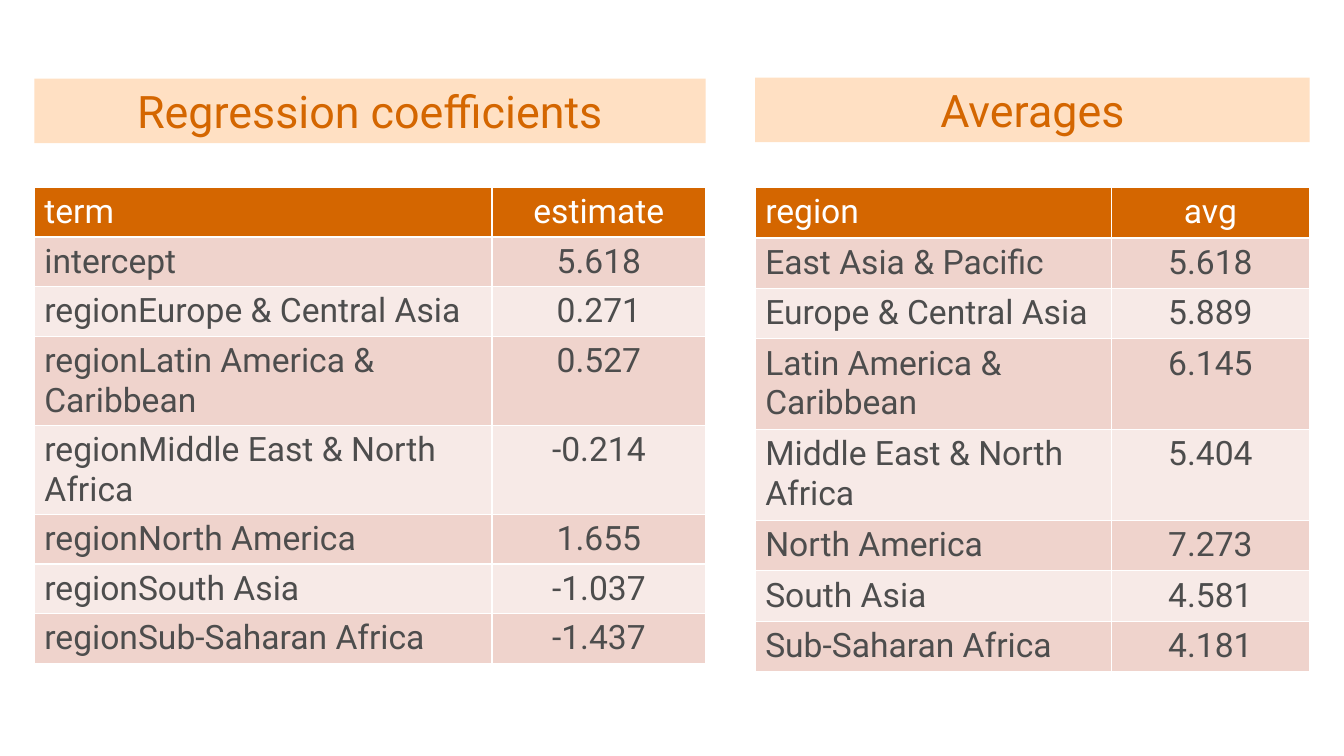
from pptx import Presentation
from pptx.dml.color import RGBColor
from pptx.enum.text import MSO_ANCHOR, PP_ALIGN
from pptx.util import Inches, Pt

LEFT, CENTER = PP_ALIGN.LEFT, PP_ALIGN.CENTER
MIDDLE = MSO_ANCHOR.MIDDLE

ORANGE, PEACH = "D46600", "FFE0C3"
WHITE, GREY = "FFFFFF", "4D4D4D"
BANDS = ["F7EAE7", "EFD3CC"]  # even rows, odd rows
ONE_LINE, TWO_LINES = 0.49, 0.88
ROW_HEIGHTS = [ONE_LINE] * 3 + [TWO_LINES] * 2 + [ONE_LINE] * 3


def rgb(hex_color):
    return RGBColor.from_string(hex_color)


def write(frame, text, size, color, align):
    paragraph = frame.paragraphs[0]
    paragraph.text = text
    paragraph.alignment = align
    font = paragraph.font
    font.name, font.size, font.bold = "Roboto", Pt(size), False
    font.color.rgb = rgb(color)


# Heading, left, heading top, column widths, rows
panels = [
    ("Regression coefficients", 0.34, 0.78, [4.54, 2.12], [
        ("term", "estimate"),
        ("intercept", "5.618"),
        ("regionEurope & Central Asia", "0.271"),
        ("regionLatin America & Caribbean", "0.527"),
        ("regionMiddle East & North Africa", "-0.214"),
        ("regionNorth America", "1.655"),
        ("regionSouth Asia", "-1.037"),
        ("regionSub-Saharan Africa", "-1.437"),
    ]),
    ("Averages", 7.49, 0.77, [3.53, 1.97], [
        ("region", "avg"),
        ("East Asia & Pacific", "5.618"),
        ("Europe & Central Asia", "5.889"),
        ("Latin America & Caribbean", "6.145"),
        ("Middle East & North Africa", "5.404"),
        ("North America", "7.273"),
        ("South Asia", "4.581"),
        ("Sub-Saharan Africa", "4.181"),
    ]),
]

prs = Presentation()
prs.slide_width, prs.slide_height = Inches(13.33), Inches(7.5)
slide = prs.slides.add_slide(prs.slide_layouts[6])

for title, left, top, widths, rows in panels:
    # Table; its default style draws the white cell borders
    table = slide.shapes.add_table(
        len(rows), len(widths), Inches(left), Inches(1.86),
        Inches(sum(widths)), Inches(sum(ROW_HEIGHTS))).table
    for column, width in zip(table.columns, widths):
        column.width = Inches(width)
    for r, (row, height) in enumerate(zip(rows, ROW_HEIGHTS)):
        table.rows[r].height = Inches(height)
        for c, (text, align) in enumerate(zip(row, (LEFT, CENTER))):
            cell = table.cell(r, c)
            cell.fill.solid()
            cell.fill.fore_color.rgb = rgb(BANDS[r % 2] if r else ORANGE)
            write(cell.text_frame, text, 24, GREY if r else WHITE, align)

    # Heading band above the table
    heading = slide.shapes.add_textbox(
        Inches(left), Inches(top), Inches(sum(widths)), Inches(0.64))
    heading.fill.solid()
    heading.fill.fore_color.rgb = rgb(PEACH)
    heading.text_frame.word_wrap = True
    heading.text_frame.vertical_anchor = MIDDLE
    write(heading.text_frame, title, 32, ORANGE, CENTER)

prs.save("out.pptx")
